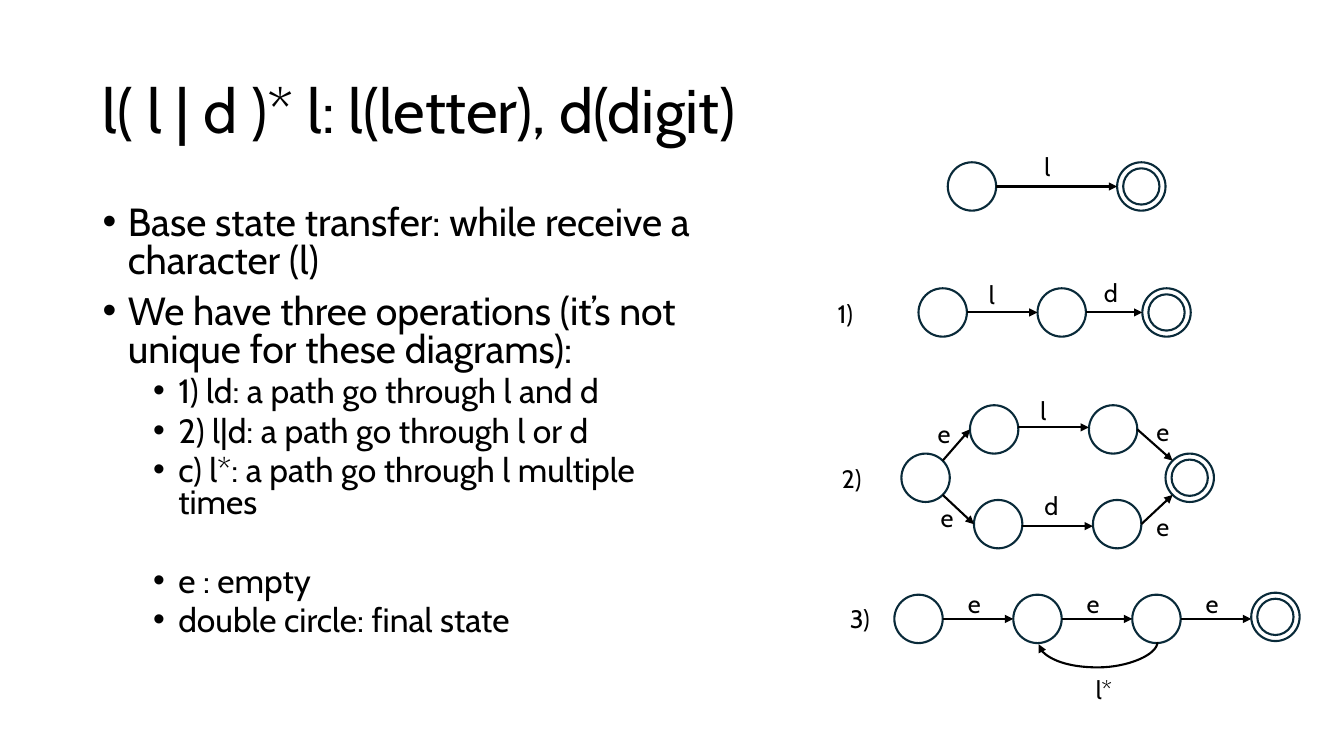
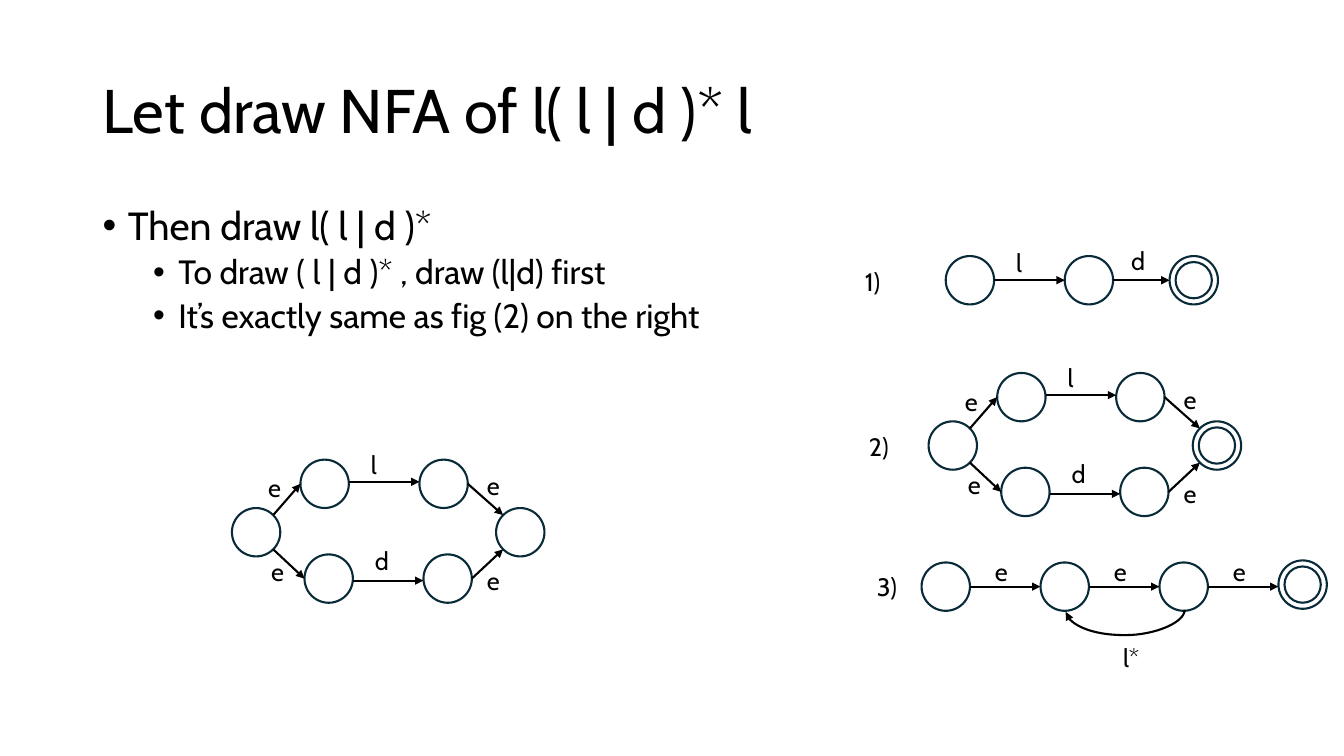
from dataclasses import dataclass

from lxml.etree import SubElement
from pptx import Presentation
from pptx.dml.color import RGBColor
from pptx.enum.shapes import MSO_CONNECTOR, MSO_SHAPE
from pptx.enum.text import MSO_ANCHOR, MSO_AUTO_SIZE
from pptx.oxml.ns import qn
from pptx.util import Inches, Pt


@dataclass(frozen=True)
class Theme:
    font: str = "Cabin"
    ink: RGBColor = RGBColor(0, 0, 0)
    ring: RGBColor = RGBColor(0x09, 0x2A, 0x39)
    paper: RGBColor = RGBColor(0xFF, 0xFF, 0xFF)
    title: int = 44
    body: tuple = (28, 24)  # size by bullet level
    label: int = 18
    line: float = 1.5
    state: float = 0.48
    inner: float = 0.36


def write(frame, text, theme, size, first=False, level=None, space=1, before=0):
    """Add one paragraph; a level makes it a bullet."""
    para = frame.paragraphs[0] if first else frame.add_paragraph()
    if level is not None:
        para.level = level
        props = para._p.get_or_add_pPr()
        props.set("marL", str(Inches(0.25 + 0.5 * level)))
        props.set("indent", str(Inches(-0.25)))
        SubElement(props, qn("a:buFont")).set("typeface", "Arial")
        SubElement(props, qn("a:buChar")).set("char", "•")
    para.line_spacing = space
    para.space_before = Pt(before)
    run = para.add_run()
    run.text = text
    run.font.name = theme.font
    run.font.size = Pt(size)
    run.font.color.rgb = theme.ink


class Deck:
    def __init__(self, theme):
        self.theme = theme
        self.file = Presentation()
        self.file.slide_width = Inches(13.33)
        self.file.slide_height = Inches(7.5)
        self.slide = None

    # Text
    def page(self, title):
        self.slide = self.file.slides.add_slide(self.file.slide_layouts[6])
        frame = self.box(0.92, 0.4, 11.5, 1.45)
        frame.vertical_anchor = MSO_ANCHOR.MIDDLE
        write(frame, title, self.theme, self.theme.title, first=True, space=0.9)

    def box(self, x, y, width, height):
        shape = self.slide.shapes.add_textbox(
            Inches(x), Inches(y), Inches(width), Inches(height))
        shape.text_frame.word_wrap = True
        return shape.text_frame

    def label(self, text, x, y, width=0.39):
        frame = self.box(x, y, width, 0.4)
        frame.auto_size = MSO_AUTO_SIZE.SHAPE_TO_FIT_TEXT
        write(frame, text, self.theme, self.theme.label, first=True)

    def list(self, items, width, space):
        """Items are (level, text) or (level, text, space before)."""
        frame = self.box(0.92, 2, width, 4.76)
        for i, (level, text, *gap) in enumerate(items):
            before = gap[0] if gap else (10, 5)[level]
            write(frame, text, self.theme, self.theme.body[level], first=i == 0,
                  level=level, space=space, before=before if i else 0)

    # Shapes
    def ring(self, x, y, size):
        shape = self.slide.shapes.add_shape(
            MSO_SHAPE.OVAL, Inches(x), Inches(y), Inches(size), Inches(size))
        shape.shadow.inherit = False
        shape.fill.solid()
        shape.fill.fore_color.rgb = self.theme.paper
        shape.line.color.rgb = self.theme.ring
        shape.line.width = Pt(self.theme.line)

    def state(self, x, y, final=False):
        size, inner = self.theme.state, self.theme.inner
        self.ring(x, y, size)
        if final:
            inset = (size - inner) / 2
            self.ring(x + inset, y + inset, inner)

    def arrow(self, x1, y1, x2, y2, kind=MSO_CONNECTOR.STRAIGHT):
        link = self.slide.shapes.add_connector(
            kind, Inches(x1), Inches(y1), Inches(x2), Inches(y2))
        link.line.color.rgb = self.theme.ink
        link.line.width = Pt(self.theme.line)
        SubElement(link.line._get_or_add_ln(), qn("a:tailEnd")).set("type", "triangle")
        SubElement(link._element.spPr, qn("a:effectLst"))
        return link

    def bend(self, x, y, span, drop):
        """Curve from x back to x - span, sagging by drop."""
        thin, mid = 0.02, x - span / 2
        link = self.arrow(mid - thin / 2, y - span / 2, mid + thin / 2,
                          y + span / 2, MSO_CONNECTOR.CURVE)
        props = link._element.spPr
        props.find(qn("a:xfrm")).set("rot", str(90 * 60000))
        guides = props.find(qn("a:prstGeom")).find(qn("a:avLst"))
        guide = SubElement(guides, qn("a:gd"))
        guide.set("name", "adj1")
        guide.set("fmla", f"val {round(drop / thin * 100000)}")

    # Diagrams, placed by the corner of their first state
    def chain(self, x, y, steps, lift=0):
        """Steps are (state x, label, label x, label y)."""
        size = self.theme.state
        self.state(x, y)
        last = 0
        for i, (left, text, tx, ty) in enumerate(steps, 1):
            final = i == len(steps)
            self.state(x + left, y - lift * final, final)
            self.arrow(x + last + size, y + size / 2, x + left, y + size / 2)
            self.label(text, x + tx, y + ty)
            last = left

    def fork(self, x, y, final=True):
        for left, top in ((0, 0), (0.68, -0.48), (1.86, -0.48),
                          (0.72, 0.46), (1.9, 0.46)):
            self.state(x + left, y + top)
        self.state(x + 2.62, y, final)
        for x1, y1, x2, y2 in ((1.16, -0.26, 1.86, -0.26), (1.2, 0.72, 1.9, 0.72),
                               (0.41, 0.07, 0.68, -0.24), (0.41, 0.41, 0.72, 0.7),
                               (2.34, -0.24, 2.69, 0.07), (2.38, 0.7, 2.69, 0.41)):
            self.arrow(x + x1, y + y1, x + x2, y + y2)
        for text, left, top in (("l", 1.28, -0.63), ("d", 1.32, 0.32),
                                ("e", 0.26, -0.4), ("e", 0.29, 0.43),
                                ("e", 2.43, -0.42), ("e", 2.43, 0.52)):
            self.label(text, x + left, y + top)

    def loop(self, x, y):
        pitch = 1.18
        steps = [(pitch * i, "e", pitch * i - 0.55, -0.11) for i in (1, 2, 3)]
        self.chain(x, y, steps, lift=0.02)
        self.bend(x + 2.61, y + self.theme.state, pitch, 0.25)
        self.label("l*", x + 1.9, y + 0.74, width=0.81)

    def rules(self, x, y):
        """The three numbered diagrams."""
        self.chain(x, y, [(1.18, "l", 0.6, -0.14), (2.22, "d", 1.74, -0.16)])
        self.fork(x - 0.17, y + 1.64)
        self.loop(x - 0.24, y + 3.04)
        for text, left, top in (("1)", -0.9, 0.05), ("2)", -0.86, 1.69),
                                ("3)", -0.78, 3.08)):
            self.label(text, x + left, y + top, width=0.64)


def main():
    deck = Deck(Theme())

    # Base step and operations
    deck.page("l( l | d )* l: l(letter), d(digit)")
    deck.list([
        (0, "Base state transfer: while receive a character (l)"),
        (0, "We have three operations (it’s not unique for these diagrams):"),
        (1, "1) ld: a path go through l and d"),
        (1, "2) l|d: a path go through l or d"),
        (1, "c) l*: a path go through l multiple times"),
        (1, "e : empty", 33),
        (1, "double circle: final state"),
    ], width=6.25, space=0.8)
    deck.chain(9.4, 1.61, [(1.68, "l", 0.86, -0.16)])
    deck.rules(9.11, 2.86)

    # Drawing the inner choice
    deck.page("Let draw NFA of l( l | d )* l")
    deck.list([
        (0, "Then draw l( l | d )*"),
        (1, "To draw ( l | d )* , draw (l|d) first"),
        (1, "It’s exactly same as fig (2) on the right"),
    ], width=11.5, space=0.9)
    deck.rules(9.38, 2.54)
    deck.fork(2.3, 5.04, final=False)

    deck.file.save("out.pptx")


if __name__ == "__main__":
    main()
